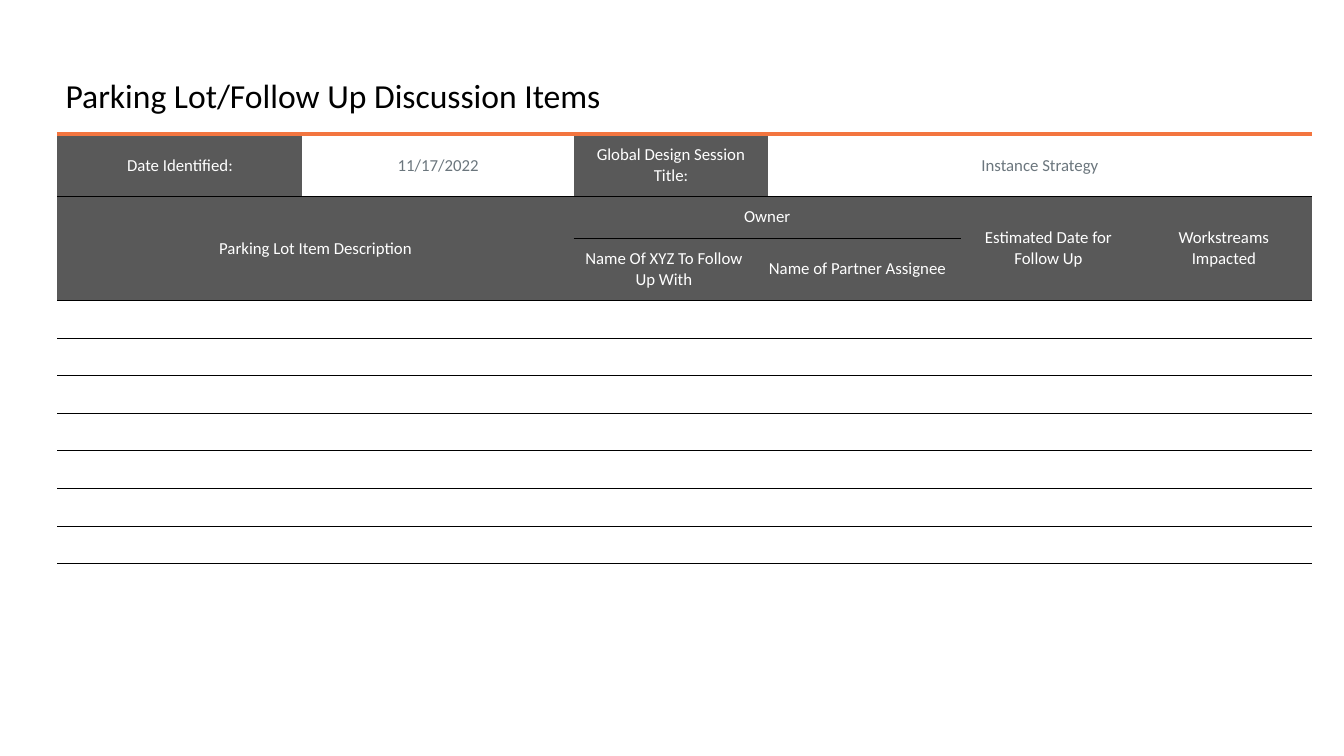
from pptx import Presentation
from pptx.dml.color import RGBColor
from pptx.enum.text import MSO_ANCHOR, PP_ALIGN
from pptx.oxml import parse_xml
from pptx.oxml.ns import nsdecls, qn
from pptx.util import Inches, Pt

BLACK = RGBColor(0x00, 0x00, 0x00)
WHITE = RGBColor(0xFF, 0xFF, 0xFF)
DARK = RGBColor(0x59, 0x59, 0x59)
GREY = RGBColor(0x6B, 0x76, 0x7D)
ORANGE = RGBColor(0xF3, 0x75, 0x3F)
NO_STYLE = "{2D5ABB26-0587-4C30-8999-92F81FD0307C}"


def set_font(font, size, color):
    for key, value in {"name": "Calibri", "size": Pt(size)}.items():
        setattr(font, key, value)
    font.color.rgb = color


def add_edge(cell, side, color, width):
    """Append one border line; sides must come in the order T, B."""
    cell._tc.get_or_add_tcPr().append(parse_xml(
        f'<a:ln{side} {nsdecls("a")} w="{Pt(width)}"><a:solidFill>'
        f'<a:srgbClr val="{color}"/></a:solidFill></a:ln{side}>'))


deck = Presentation()
deck.slide_width, deck.slide_height = Inches(13.33), Inches(7.5)
slide = deck.slides.add_slide(deck.slide_layouts[5])

title = slide.shapes.title
title.left, title.top = Inches(0.65), Inches(0.79)
title.width, title.height = Inches(12.31), Inches(0.76)
frame = title.text_frame
frame.text = "Parking Lot/Follow Up Discussion Items"
frame.vertical_anchor = MSO_ANCHOR.TOP
for side in ("left", "right", "top", "bottom"):
    setattr(frame, f"margin_{side}", 0)
head = frame.paragraphs[0]
head.alignment = PP_ALIGN.LEFT
head.line_spacing = 0.9
set_font(head.runs[0].font, 24, BLACK)

widths = [2.43, 2.69, 1.79, 0.14, 1.91, 1.74, 1.74]
heights = [0.62, 0.41, 0.62] + [2.61 / 7] * 7
holder = slide.shapes.add_table(
    len(heights), len(widths), Inches(0.57), Inches(1.33),
    Inches(sum(widths)), Inches(sum(heights)))
table = holder.table
table.first_row = table.horz_banding = False
table._tbl.tblPr.find(qn("a:tableStyleId")).text = NO_STYLE
for column, width in zip(table.columns, widths):
    column.width = Inches(width)
for row, height in zip(table.rows, heights):
    row.height = Inches(height)

# row, column, rows spanned, columns spanned, text
labels = [
    (0, 0, 1, 1, "Date Identified:"),
    (0, 1, 1, 1, "11/17/2022"),
    (0, 2, 1, 2, "Global Design Session Title:"),
    (0, 4, 1, 3, "Instance Strategy"),
    (1, 0, 2, 2, "Parking Lot Item Description"),
    (1, 2, 1, 3, "Owner"),
    (1, 5, 2, 1, "Estimated Date for Follow Up"),
    (1, 6, 2, 1, "Workstreams Impacted"),
    (2, 2, 1, 1, "Name Of XYZ To Follow Up With"),
    (2, 3, 1, 2, "Name of Partner Assignee"),
]
blanks = [(r, c, 1, 2, "") for r in range(3, len(heights)) for c in (0, 3)]
for r, c, tall, wide, text in labels + blanks:
    cell = table.cell(r, c)
    if tall * wide > 1:
        cell.merge(table.cell(r + tall - 1, c + wide - 1))
    cell.text = text

owner = range(2, 5)
values = [(0, 1), (0, 4), (0, 5), (0, 6)]
for r in range(len(heights)):
    for c in range(len(widths)):
        cell = table.cell(r, c)
        if r == 0:
            add_edge(cell, "T", ORANGE, 3)
        elif r != 2 or c in owner:
            add_edge(cell, "T", BLACK, 0.25)
        if r != 1 or c in owner:
            add_edge(cell, "B", BLACK, 0.25)
        filled = r < 3 and (r, c) not in values
        if filled:
            cell.fill.solid()
            cell.fill.fore_color.rgb = DARK
        else:
            cell.fill.background()
        cell.vertical_anchor = MSO_ANCHOR.MIDDLE
        if r < 3:
            for side in ("left", "right", "top", "bottom"):
                setattr(cell, f"margin_{side}", Inches(0.1))
        line = cell.text_frame.paragraphs[0]
        line.alignment = PP_ALIGN.CENTER
        set_font(line.font, 12, WHITE if filled else GREY)
        for run in line.runs:
            set_font(run.font, 12, WHITE if filled else GREY)

deck.save("out.pptx")
